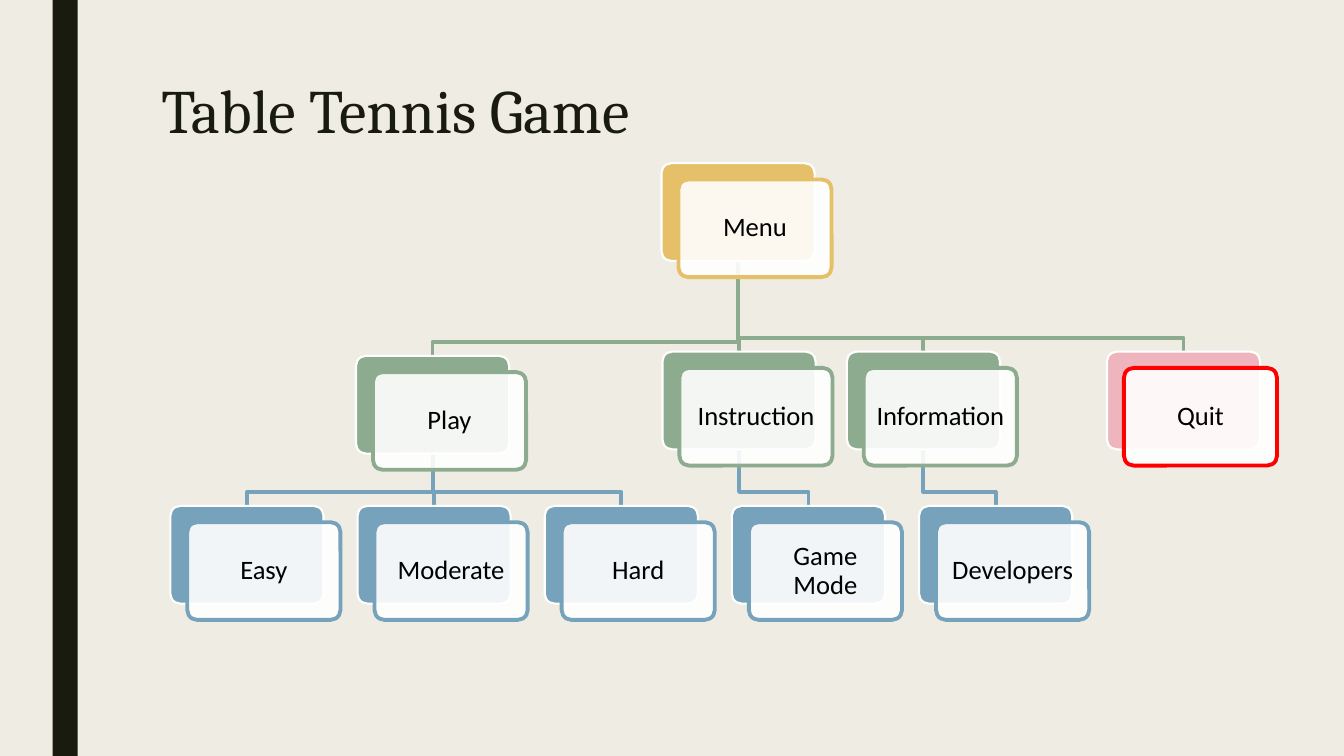
"""Build the Table Tennis Game menu tree slide."""
from lxml import etree
from pptx import Presentation
from pptx.dml.color import RGBColor
from pptx.enum import shapes, text
from pptx.oxml import ns
from pptx.util import Pt

TITLE = "Table Tennis Game"
DARK, PAPER, WHITE, BLACK = "191B0E", "EFEDE3", "FFFFFF", "000000"
GOLD, GREEN, BLUE, PINK, RED = "E6C069", "8DAB8E", "77A2BB", "EEB5BF", "FF0000"

LEAF_LEFT, LEAF_STEP, LEAF_TOP = 121.7, 133.7, 361.4
CARD_WIDTH, CARD_HEIGHT = 109.4, 69.8
OFFSET_X, OFFSET_Y = 12.1, 11.6
BEND_GAP = 10

BRANCHES = [
    ("Play", 254.3, 254.2, GREEN, GREEN, ["Easy", "Moderate", "Hard"]),
    ("Instruction", 473.2, 251.2, GREEN, GREEN, ["Game Mode"]),
    ("Information", 604.9, 251.2, GREEN, GREEN, ["Developers"]),
    ("Quit", 790.7, 251.2, PINK, RED, []),
]


def color(value):
    return RGBColor.from_string(value)


def style(shape, fill, line=None, width=0):
    shape.shadow.inherit = False
    if fill:
        shape.fill.solid()
        shape.fill.fore_color.rgb = color(fill)
    else:
        shape.fill.background()
    if line:
        shape.line.color.rgb = color(line)
        shape.line.width = Pt(width)
    else:
        shape.line.fill.background()


def write(paragraph, words, size, font, ink, spacing):
    paragraph.line_spacing = spacing
    run = paragraph.add_run()
    run.text = words
    run.font.size = Pt(size)
    run.font.name = font
    run.font.color.rgb = color(ink)


def add_link(slide, parent, child, ink):
    """Draw an elbow from the bottom of one card to the top of another."""
    start_x, end_x = (card[0] + CARD_WIDTH / 2 for card in (parent, child))
    bend_y = child[1] - BEND_GAP
    builder = slide.shapes.build_freeform(Pt(start_x), Pt(parent[1] + CARD_HEIGHT))
    corners = [(start_x, bend_y), (end_x, bend_y), (end_x, child[1])]
    builder.add_line_segments([(Pt(x), Pt(y)) for x, y in corners], close=False)
    style(builder.convert_to_shape(), None, ink, 2.75)


def add_rounded(slide, left, top, fill, line, width):
    shape = slide.shapes.add_shape(
        shapes.MSO_SHAPE.ROUNDED_RECTANGLE,
        Pt(left), Pt(top), Pt(CARD_WIDTH), Pt(CARD_HEIGHT))
    shape.adjustments[0] = 0.1
    style(shape, fill, line, width)
    return shape


def add_card(slide, label, left, top, fill, outline):
    """Draw a coloured back plate and a translucent labelled front plate."""
    add_rounded(slide, left, top, fill, WHITE, 1.5)
    front = add_rounded(slide, left + OFFSET_X, top + OFFSET_Y, WHITE, outline, 2.75)
    front_color = front.element.spPr.find(ns.qn("a:solidFill"))[0]
    etree.SubElement(front_color, ns.qn("a:alpha"), val="90000")
    frame = front.text_frame
    frame.word_wrap = True
    frame.vertical_anchor = text.MSO_ANCHOR.MIDDLE
    frame.margin_left = frame.margin_right = Pt(5.7)
    frame.margin_top = frame.margin_bottom = Pt(5.7)
    paragraph = frame.paragraphs[0]
    paragraph.alignment = text.PP_ALIGN.CENTER
    write(paragraph, label, 19, "Calibri", BLACK, 0.9)


def main():
    presentation = Presentation()
    presentation.slide_width, presentation.slide_height = Pt(960), Pt(540)
    slide = presentation.slides.add_slide(presentation.slide_layouts[5])
    slide.background.fill.solid()
    slide.background.fill.fore_color.rgb = color(PAPER)

    bar = slide.shapes.add_shape(
        shapes.MSO_SHAPE.RECTANGLE, Pt(37.5), 0, Pt(18), Pt(540))
    style(bar, DARK)

    title = slide.shapes.title
    title.left, title.top, title.width, title.height = Pt(108), Pt(54), Pt(756), Pt(117)
    title.text_frame.vertical_anchor = text.MSO_ANCHOR.TOP
    heading = title.text_frame.paragraphs[0]
    heading.alignment = text.PP_ALIGN.LEFT
    write(heading, TITLE, 44, "Cambria", DARK, 0.89)

    menu = (472.5, 116.6)
    cards = [("Menu", *menu, GOLD, GOLD)]
    links = []
    leaf_left = LEAF_LEFT
    for label, left, top, fill, outline, leaves in BRANCHES:
        branch = (left, top)
        cards.append((label, *branch, fill, outline))
        links.append((menu, branch, GREEN))
        for leaf_label in leaves:
            leaf = (leaf_left, LEAF_TOP)
            cards.append((leaf_label, *leaf, BLUE, BLUE))
            links.append((branch, leaf, BLUE))
            leaf_left += LEAF_STEP

    for link in reversed(links):
        add_link(slide, *link)
    for card in cards:
        add_card(slide, *card)
    presentation.save("out.pptx")


if __name__ == "__main__":
    main()
